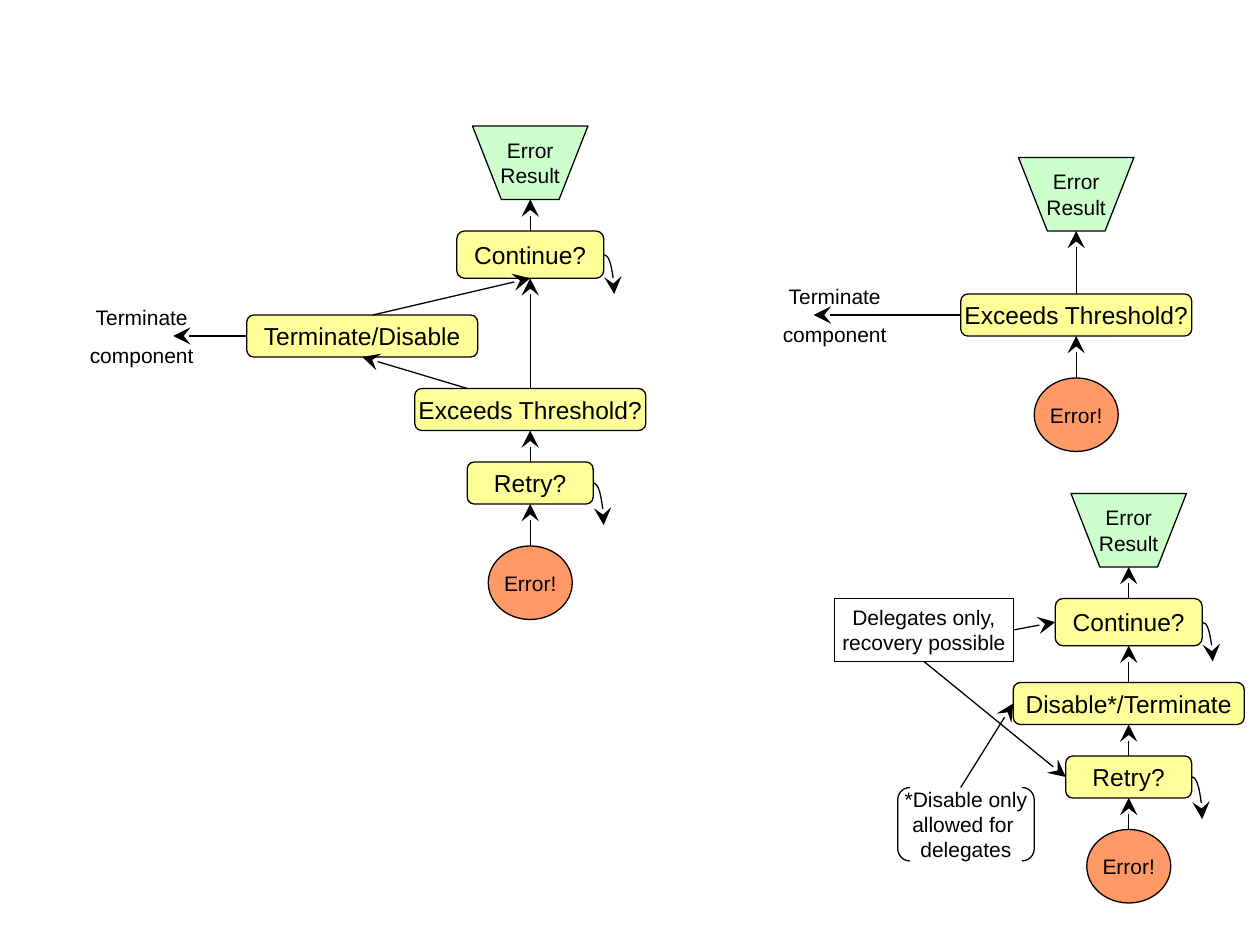
import pptx
import pptx.dml.color
import pptx.enum.shapes
import pptx.enum.text
import pptx.oxml.ns
import pptx.util
from lxml import etree

KIND = pptx.enum.shapes.MSO_SHAPE
LINK = pptx.enum.shapes.MSO_CONNECTOR
ALIGN = pptx.enum.text.PP_ALIGN
ANCHOR = pptx.enum.text.MSO_ANCHOR
CELL = 2.54 / 12  # grid step in cm
INK = "000000"

# name: preset, width, height, fill, text size
PARTS = {
    "result": (None, 11, 7, "CCFFCC", 12),
    "choice": (KIND.ROUNDED_RECTANGLE, 14, 4.5, "FFFF99", 14),
    "retry": (KIND.ROUNDED_RECTANGLE, 12, 4, "FFFF99", 14),
    "step": (KIND.ROUNDED_RECTANGLE, 22, 4, "FFFF99", 14),
    "error": (KIND.OVAL, 8, 7, "FF9966", 12),
    "note": (KIND.RECTANGLE, 17, 6, "FFFFFF", 12),
    "remark": (KIND.DOUBLE_BRACKET, 13, 7, None, 12),
}
EXITS = ("choice", "retry")


def grid(n):
    """Turn grid cells into a length."""
    return pptx.util.Cm(n * CELL)


def tint(code):
    return pptx.dml.color.RGBColor.from_string(code)


def apply(item, form):
    for name, value in form.items():
        setattr(item, name, value)


def stroke(line):
    line.color.rgb = tint(INK)
    line.width = pptx.util.Pt(0.75)


def write(para, size):
    para.alignment = ALIGN.CENTER
    apply(para.font, {"name": "Arial", "size": pptx.util.Pt(size)})
    para.font.color.rgb = tint(INK)


def funnel(slide, x, y, w, h):
    """Outline of a trapezoid that narrows by a quarter on each side."""
    pen = slide.shapes.build_freeform(grid(x), grid(y))
    ends = [(x + w, y), (x + w * 0.75, y + h), (x + w * 0.25, y + h)]
    pen.add_line_segments([(grid(a), grid(b)) for a, b in ends])
    return pen.convert_to_shape()


def part(slide, kind, x, y, text):
    preset, w, h, fill, size = PARTS[kind]
    if preset is None:
        shape = funnel(slide, x, y, w, h)
    else:
        shape = slide.shapes.add_shape(preset, *map(grid, (x, y, w, h)))
    shape.shadow.inherit = False
    if fill:
        shape.fill.solid()
        shape.fill.fore_color.rgb = tint(fill)
    else:
        shape.fill.background()
    stroke(shape.line)
    frame = shape.text_frame
    apply(frame, {"word_wrap": False, "vertical_anchor": ANCHOR.MIDDLE})
    frame.text = text
    write(frame.paragraphs[0], size)


def arrow(slide, start, end, bend=False):
    style = LINK.CURVE if bend else LINK.STRAIGHT
    link = slide.shapes.add_connector(style, *map(grid, start + end))
    stroke(link.line)
    props = link._element.spPr
    if bend:
        props.find(pptx.oxml.ns.qn("a:prstGeom")).set("prst", "curvedConnector2")
    head = etree.SubElement(link.line._get_or_add_ln(), pptx.oxml.ns.qn("a:tailEnd"))
    for name, value in {"type": "stealth", "w": "lg", "len": "lg"}.items():
        head.set(name, value)
    etree.SubElement(props, pptx.oxml.ns.qn("a:effectLst"))


def caption(slide, box):
    frame = slide.shapes.add_textbox(*map(grid, box)).text_frame
    apply(frame, {"word_wrap": True, "margin_top": 0, "margin_bottom": 0})
    frame.text = "Terminate\ncomponent"
    for para in frame.paragraphs:
        write(para, 12)
    frame.paragraphs[1].space_before = pptx.util.Pt(7.5)


def stack(slide, box, steps):
    """Steps from top to bottom, centred in the box and joined upwards."""
    left, top, width = box
    mid = left + width / 2
    floor = None
    for kind, drop, text in steps:
        w, h = PARTS[kind][1:3]
        y = top + drop
        part(slide, kind, mid - w / 2, y, text)
        if floor is not None:
            arrow(slide, (mid, y), (mid, floor))
        if kind in EXITS:
            side = mid + w / 2
            arrow(slide, (side, y + h / 2), (side + 1, y + 6), True)
        floor = y + h


def full(slide, box):
    """Flow with every step and a branch on its left."""
    x, y, w = box
    part(slide, "step", x - 16, y + 18, "Terminate/Disable")
    stack(slide, box, [
        ("result", 0, "Error\vResult"),
        ("choice", 10, "Continue?"),
        ("step", 25, "Exceeds Threshold?"),
        ("retry", 32, "Retry?"),
        ("error", 40, "Error!"),
    ])
    arrow(slide, (x - 4, y + 18), (x + w / 2, y + 14.5))
    arrow(slide, (x + 5, y + 25), (x - 5, y + 22))
    arrow(slide, (x - 16, y + 20), (x - 23, y + 20))
    caption(slide, (x - 33, y + 17, 14, 6))


def short(slide, box):
    """Flow with the threshold test only."""
    x, y, w = box
    stack(slide, box, [
        ("result", 0, "Error\vResult"),
        ("step", 13, "Exceeds Threshold?"),
        ("error", 21, "Error!"),
    ])
    arrow(slide, (x, y + 15), (x - 14, y + 15))
    caption(slide, (x - 19, y + 12, 14, 6))


def noted(slide, box):
    """Flow with two notes on its left."""
    x, y, w = box
    stack(slide, box, [
        ("result", 0, "Error\vResult"),
        ("choice", 10, "Continue?"),
        ("step", 18, "Disable*/Terminate"),
        ("retry", 25, "Retry?"),
        ("error", 32, "Error!"),
    ])
    part(slide, "note", x - 17, y + 10, "Delegates only,\vrecovery possible")
    arrow(slide, (x, y + 13), (x + 4, y + 12.25))
    arrow(slide, (x - 8.5, y + 16), (x + 5, y + 27))
    part(slide, "remark", x - 11, y + 28, "*Disable only\vallowed for \vdelegates")
    arrow(slide, (x - 5, y + 28), (x, y + 20))


def main():
    deck = pptx.Presentation()
    apply(deck, {"slide_width": grid(120), "slide_height": grid(90)})
    slide = deck.slides.add_slide(deck.slide_layouts[6])
    noted(slide, (96.5, 47, 22))
    short(slide, (91.5, 15, 22))
    full(slide, (39.5, 12, 22))
    deck.save("out.pptx")


if __name__ == "__main__":
    main()
